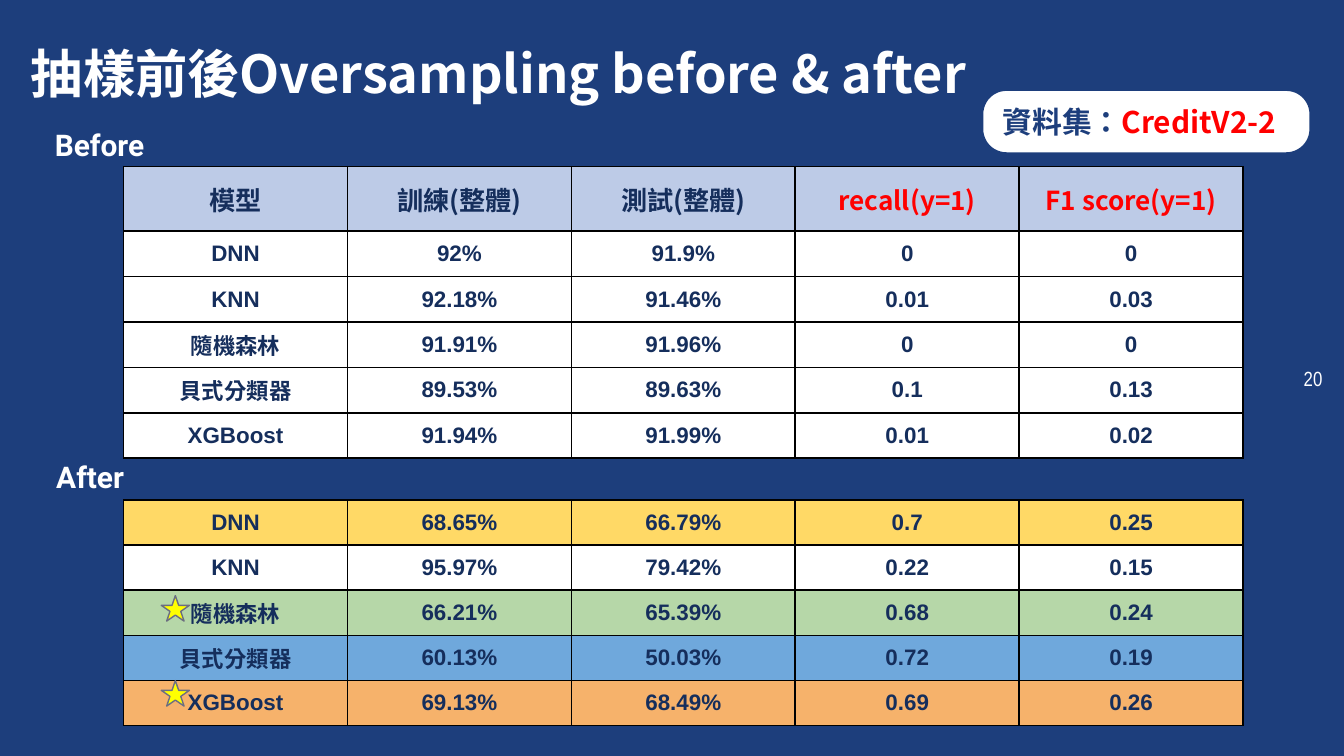
import lxml.etree
import pptx
import pptx.dml.color
import pptx.enum.shapes
import pptx.enum.text
import pptx.oxml.ns
import pptx.util

Inches = pptx.util.Inches
RGBColor = pptx.dml.color.RGBColor
Align = pptx.enum.text.PP_ALIGN
Anchor = pptx.enum.text.MSO_ANCHOR
Shape = pptx.enum.shapes.MSO_SHAPE
qn = pptx.oxml.ns.qn

NAVY = RGBColor(0x1D, 0x3E, 0x7C)
INK = RGBColor(0x15, 0x2E, 0x5C)
WHITE = RGBColor(0xFF, 0xFF, 0xFF)
RED = RGBColor(0xFF, 0x00, 0x00)
PALE = RGBColor(0xBD, 0xCB, 0xE7)
GOLD = RGBColor(0xFF, 0xD9, 0x66)
GREEN = RGBColor(0xB6, 0xD7, 0xA8)
BLUE = RGBColor(0x6F, 0xA8, 0xDC)
ORANGE = RGBColor(0xF6, 0xB2, 0x6B)
YELLOW = RGBColor(0xFF, 0xFF, 0x00)
GREY = RGBColor(0x6B, 0x6E, 0x81)

NOTO = "Noto Sans CJK TC"
HEAD_H = 0.48
STAR_W, STAR_H = 0.21, 0.19

HEAD = ["模型", "訓練(整體)", "測試(整體)", "recall(y=1)", "F1 score(y=1)"]
BEFORE = [
    ["DNN", "92%", "91.9%", "0", "0"],
    ["KNN", "92.18%", "91.46%", "0.01", "0.03"],
    ["隨機森林", "91.91%", "91.96%", "0", "0"],
    ["貝式分類器", "89.53%", "89.63%", "0.1", "0.13"],
    ["XGBoost", "91.94%", "91.99%", "0.01", "0.02"],
]
AFTER = [
    ["DNN", "68.65%", "66.79%", "0.7", "0.25"],
    ["KNN", "95.97%", "79.42%", "0.22", "0.15"],
    ["隨機森林", "66.21%", "65.39%", "0.68", "0.24"],
    ["貝式分類器", "60.13%", "50.03%", "0.72", "0.19"],
    ["XGBoost", "69.13%", "68.49%", "0.69", "0.26"],
]


def write(frame, text, size=12, color=WHITE, font=NOTO, bold=True, align=Align.LEFT):
    """Add a run to the first paragraph of the frame."""
    para = frame.paragraphs[0]
    para.alignment = align
    run = para.add_run()
    run.text = text
    run.font.size = pptx.util.Pt(size)
    run.font.bold = bold
    run.font.color.rgb = color
    run.font.name = font
    props = run.font._element
    props.set("lang", "zh-TW")
    lxml.etree.SubElement(props, qn("a:ea"), typeface=font)


def inset(item, across, down):
    item.margin_left = item.margin_right = Inches(across)
    item.margin_top = item.margin_bottom = Inches(down)


def add_title(slide, box, text):
    title = slide.shapes.title
    title.left, title.top, title.width, title.height = map(Inches, box)
    frame = title.text_frame
    frame.auto_size = pptx.enum.text.MSO_AUTO_SIZE.NONE
    frame.vertical_anchor = Anchor.TOP
    inset(frame, 0, 0)
    write(frame, text, size=28)


def add_label(slide, box, text, pad=0.1, anchor=Anchor.TOP, **style):
    frame = slide.shapes.add_textbox(*map(Inches, box)).text_frame
    frame.word_wrap = True
    frame.vertical_anchor = anchor
    inset(frame, pad, pad)
    write(frame, text, **style)


def add_solid(slide, kind, box, fill, line, width):
    shape = slide.shapes.add_shape(kind, *map(Inches, box))
    shape.shadow.inherit = False
    shape.fill.solid()
    shape.fill.fore_color.rgb = fill
    shape.line.color.rgb = line
    shape.line.width = pptx.util.Pt(width)
    return shape


def add_badge(slide, box, label, name):
    badge = add_solid(slide, Shape.ROUNDED_RECTANGLE, box, WHITE, NAVY, 1)
    badge.adjustments[0] = 0.38
    frame = badge.text_frame
    frame.vertical_anchor = Anchor.TOP
    inset(frame, 0.1, 0.05)
    write(frame, label, size=16, color=NAVY)
    write(frame, name, size=16, color=RED)


def edge(cell):
    """Draw a thin black border on all four sides."""
    props = cell._tc.get_or_add_tcPr()
    for side in ("a:lnL", "a:lnR", "a:lnT", "a:lnB"):
        line = lxml.etree.SubElement(props, qn(side), w="12700")
        fill = lxml.etree.SubElement(line, qn("a:solidFill"))
        lxml.etree.SubElement(fill, qn("a:srgbClr"), val="000000")


def add_scores(slide, box, rows, fills, head=None, stars=()):
    """Place a score table; stars holds (row, drop below row top) pairs."""
    left, top, width, height = box
    body = height - (HEAD_H if head else 0)
    step = body / len(rows)
    lines = ([head] if head else []) + rows
    shades = ([PALE] if head else []) + fills
    table = slide.shapes.add_table(len(lines), len(HEAD), *map(Inches, box)).table
    table.first_row = table.horz_banding = False
    for col in table.columns:
        col.width = Inches(width / len(HEAD))
    for r, (line, shade) in enumerate(zip(lines, shades)):
        is_head = line is head
        table.rows[r].height = Inches(HEAD_H if is_head else step)
        for c, text in enumerate(line):
            cell = table.cell(r, c)
            edge(cell)
            cell.fill.solid()
            cell.fill.fore_color.rgb = shade
            cell.vertical_anchor = Anchor.MIDDLE
            inset(cell, 0.02 if c else 0.06, 0.02 if c else 0.03)
            write(
                cell.text_frame, text, align=Align.CENTER,
                size=14 if is_head else 12,
                color=RED if is_head and c > 2 else INK,
                font="Arial" if text.isascii() and not is_head else NOTO,
            )
    for row, drop in stars:
        spot = (left + 0.28, top + row * step + drop, STAR_W, STAR_H)
        add_solid(slide, Shape.STAR_5_POINT, spot, YELLOW, GREY, 0.75)


def main():
    deck = pptx.Presentation()
    deck.slide_width = Inches(10)
    deck.slide_height = deck.slide_width * 9 // 16
    slide = deck.slides.add_slide(deck.slide_layouts[5])
    slide.background.fill.solid()
    slide.background.fill.fore_color.rgb = NAVY

    add_label(slide, (9.24, 0, 0.6, deck.slide_height.inches), "20", pad=0,
              anchor=Anchor.MIDDLE, size=11, font="Arial Narrow", bold=False,
              align=Align.RIGHT)
    add_title(slide, (0.23, 0.31, 8.47, 0.44), "抽樣前後Oversampling before & after")
    add_scores(slide, (0.92, 1.24, 8.33, 2.17), BEFORE, [WHITE] * 5, head=HEAD)
    add_badge(slide, (7.31, 0.67, 2.44, 0.47), "資料集：", "CreditV2-2")
    add_scores(slide, (0.92, 3.72, 8.33, 1.68), AFTER,
               [GOLD, WHITE, GREEN, BLUE, ORANGE], stars=[(4, 0), (2, 0.04)])
    for left, top, text in ((0.31, 0.84, "Before"), (0.32, 3.31, "After")):
        add_label(slide, (left, top, 0.98, 0.47), text, size=16, font="Roboto")
    deck.save("out.pptx")


if __name__ == "__main__":
    main()
